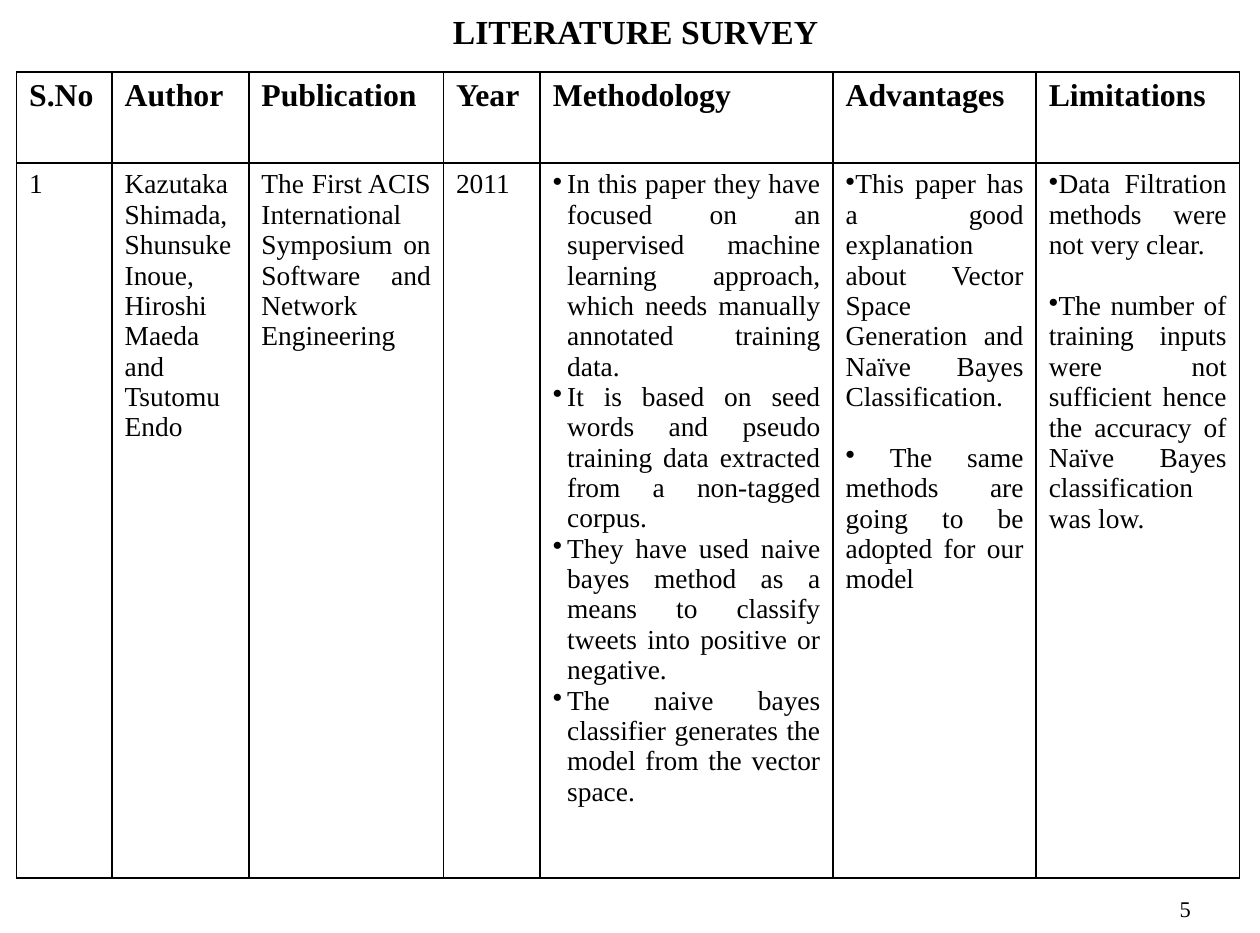
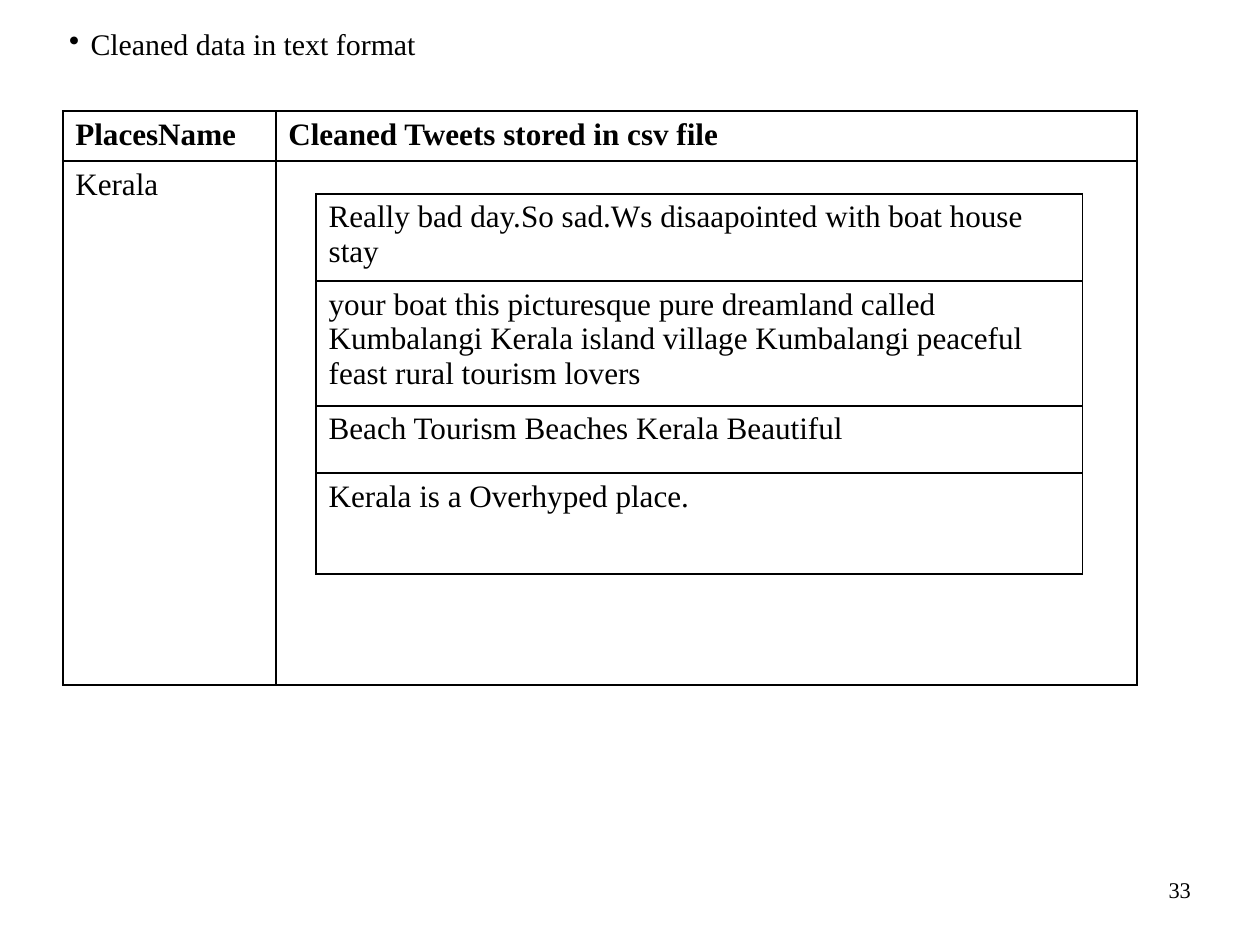
"""Build two slides: a literature survey table and a table of cleaned tweets."""
from dataclasses import dataclass

import lxml.etree
import pptx
import pptx.dml.color
import pptx.enum.text
import pptx.oxml.ns
import pptx.util

Inches = pptx.util.Inches
Pt = pptx.util.Pt
Align = pptx.enum.text.PP_ALIGN
Anchor = pptx.enum.text.MSO_ANCHOR
qn = pptx.oxml.ns.qn

FONT = "Times New Roman"
BLACK = "000000"
BORDER_POINTS = 3
SURVEY_LINE_POINTS = 49


@dataclass(frozen=True)
class Paragraph:
    text: str
    size: float
    bold: bool = False
    align: Align = Align.LEFT
    bullet: bool = False
    indent: float = 0
    space_before: float = 0


@dataclass(frozen=True)
class Grid:
    left: float
    top: float
    columns: list[float]
    rows: list[float]
    cells: list[list[list[Paragraph]]]


def color(value: str) -> pptx.dml.color.RGBColor:
    return pptx.dml.color.RGBColor.from_string(value)


def write(frame, paragraphs: list[Paragraph]) -> None:
    for index, item in enumerate(paragraphs):
        para = frame.add_paragraph() if index else frame.paragraphs[0]
        para.alignment = item.align
        para.space_before = Pt(item.space_before)
        span = para.add_run()
        span.text = item.text
        span.font.name = FONT
        span.font.size = Pt(item.size)
        span.font.bold = item.bold
        span.font.color.rgb = color(BLACK)
        if item.bullet:
            properties = para._p.get_or_add_pPr()
            properties.set("marL", str(Inches(item.indent)))
            properties.set("indent", str(-Inches(item.indent)))
            lxml.etree.SubElement(properties, qn("a:buChar")).set("char", "•")


def add_text(page, left: float, top: float, width: float, height: float,
             paragraph: Paragraph, anchor: Anchor = Anchor.MIDDLE) -> None:
    box = page.shapes.add_textbox(Inches(left), Inches(top), Inches(width), Inches(height))
    frame = box.text_frame
    frame.word_wrap = True
    frame.vertical_anchor = anchor
    frame.margin_left = frame.margin_right = Inches(0.13)
    frame.margin_top = frame.margin_bottom = Inches(0.06)
    write(frame, [paragraph])


def add_page_number(page, number: int, top: float) -> None:
    add_text(page, 20.13, top, 6.56, 1.11, Paragraph(str(number), 36, align=Align.RIGHT))


def style_cell(cell) -> None:
    cell.margin_left = cell.margin_right = Inches(0.28)
    cell.margin_top = cell.margin_bottom = Inches(0.14)
    cell.fill.background()
    properties = cell._tc.get_or_add_tcPr()
    for index, side in enumerate("LRTB"):
        line = lxml.etree.Element(qn(f"a:ln{side}"), w=str(Pt(BORDER_POINTS)))
        fill = lxml.etree.SubElement(line, qn("a:solidFill"))
        lxml.etree.SubElement(fill, qn("a:srgbClr")).set("val", BLACK)
        properties.insert(index, line)


def add_grid(page, grid: Grid) -> None:
    table = page.shapes.add_table(
        len(grid.rows), len(grid.columns), Inches(grid.left), Inches(grid.top),
        Inches(sum(grid.columns)), Inches(sum(grid.rows))).table
    table.first_row = table.horz_banding = False
    for column, width in zip(table.columns, grid.columns):
        column.width = Inches(width)
    for row, height, contents in zip(table.rows, grid.rows, grid.cells):
        row.height = Inches(height)
        for cell, paragraphs in zip(row.cells, contents):
            style_cell(cell)
            write(cell.text_frame, paragraphs)


def headings(titles: list[str], size: float) -> list[list[Paragraph]]:
    return [[Paragraph(title, size, bold=True)] for title in titles]


def survey_text(text: str) -> list[Paragraph]:
    return [Paragraph(text, 44, align=Align.JUSTIFY)]


def survey_points(texts: list[str], indent: float = 0, gap: float = 0) -> list[Paragraph]:
    return [Paragraph(text, 44, align=Align.JUSTIFY, bullet=True, indent=indent,
                      space_before=gap if index else 0)
            for index, text in enumerate(texts)]


def build_survey(page) -> None:
    add_text(page, 3.99, 0, 20.37, 1.37,
             Paragraph("LITERATURE SURVEY", 54, bold=True, align=Align.CENTER))
    titles = ["S.No", "Author", "Publication", "Year", "Methodology", "Advantages", "Limitations"]
    methodology = [
        "In this paper they have focused on an supervised machine learning approach, "
        "which needs manually annotated training data.",
        "It is based on seed words and pseudo training data extracted from a non-tagged corpus.",
        "They have used naive bayes method as a means to classify tweets into positive or negative.",
        "The naive bayes classifier generates the model from the vector space.",
    ]
    advantages = [
        "This paper has a good explanation about Vector Space Generation and "
        "Naïve Bayes Classification.",
        " The same methods are going to be adopted for our model",
    ]
    limitations = [
        "Data Filtration methods were not very clear.",
        "The number of training inputs were not sufficient hence the accuracy of "
        "Naïve Bayes classification was low.",
    ]
    entry = [
        survey_text("1"),
        survey_text("Kazutaka Shimada, Shunsuke Inoue, Hiroshi Maeda and Tsutomu Endo"),
        survey_text("The First ACIS International Symposium on Software and Network Engineering"),
        survey_text("2011"),
        survey_points(methodology, indent=0.32),
        survey_points(advantages, gap=SURVEY_LINE_POINTS),
        survey_points(limitations, gap=SURVEY_LINE_POINTS),
    ]
    add_grid(page, Grid(0.37, 1.6, [2.13, 3.05, 4.34, 2.16, 6.53, 4.53, 4.53],
                        [2.04, 15.93], [headings(titles, 51), entry]))
    add_page_number(page, 5, 19.69)


def build_tweets(page) -> None:
    add_text(page, 1.41, 0.52, 25.29, 1.2,
             Paragraph("Cleaned data in text format", 48, bullet=True, indent=0.48), Anchor.TOP)
    titles = ["PlacesName", "Cleaned Tweets stored in csv file"]
    add_grid(page, Grid(1.4, 2.48, [4.75, 19.2], [1.05, 11.68],
                        [headings(titles, 50), [[Paragraph("Kerala", 50)], []]]))
    tweets = [
        "Really bad day.So sad.Ws disaapointed with boat house stay",
        "your boat this picturesque pure dreamland called Kumbalangi Kerala island village "
        "Kumbalangi peaceful feast rural tourism lovers",
        "Beach Tourism Beaches Kerala Beautiful",
        "Kerala is a Overhyped place.",
    ]
    add_grid(page, Grid(7.05, 4.32, [17.09], [1.82, 2.58, 1.5, 2.25],
                        [[[Paragraph(tweet, 50)]] for tweet in tweets]))
    add_page_number(page, 33, 19.28)


def main() -> None:
    deck = pptx.Presentation()
    deck.slide_width = Inches(28.1)
    deck.slide_height = Inches(20.8)
    for build in (build_survey, build_tweets):
        build(deck.slides.add_slide(deck.slide_layouts[6]))
    deck.save("out.pptx")


if __name__ == "__main__":
    main()
